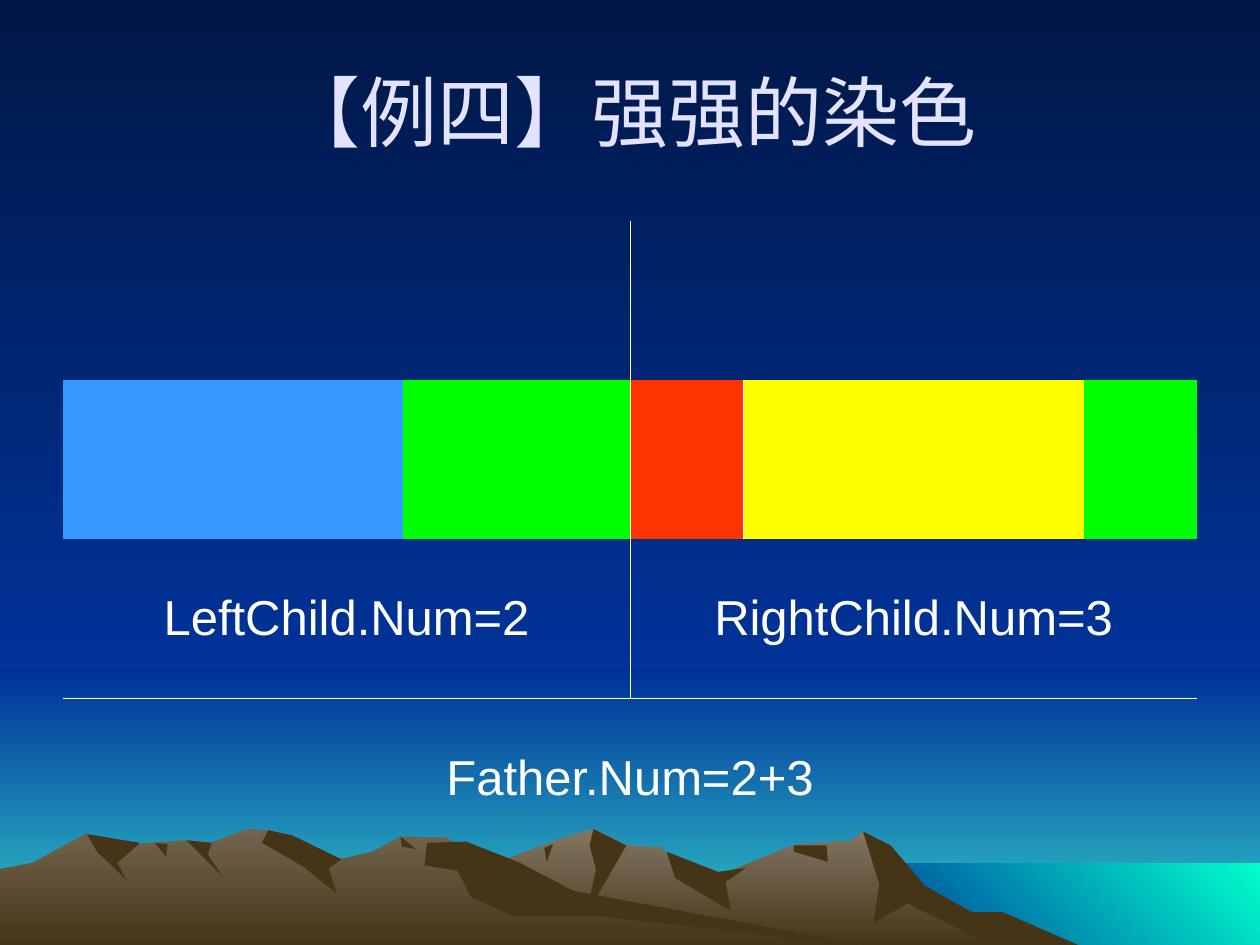
import lxml.etree
import pptx
import pptx.dml.color
import pptx.enum.shapes
import pptx.enum.text
import pptx.oxml.ns
import pptx.util

Inches = pptx.util.Inches

TITLE = "【例四】强强的染色"
CHILD_COUNTS = ["LeftChild.Num=2", "RightChild.Num=3"]
FATHER_COUNT = "Father.Num=2+3"
SEGMENTS = [("blue", 3), ("green", 2), ("red", 1), ("yellow", 3), ("green", 1)]

THEME = {
    "font": "Arial", "title_size": 44, "label_size": 28, "rule_width": 0.45,
    "title": "E3E3FF", "label": "FFFFFF", "rule": "FFFFFF",
    "blue": "3399FF", "green": "00FF00", "red": "FF3300", "yellow": "FFFF00",
    "sky": ("001746", "003399", 90), "horizon": ("003399", "33CCCC", 90),
    "sea": ("00FFCC", "003399", 135), "far": ("837763", "463416", 90),
    "near": ("72644E", "463416", 90), "shade": "463416",
}

BACKDROP = [
    ("horizon", (0, 5.33, 10, 2.17)),
    ("sky", (0, 0, 10, 5.33)),
    ("sea", (6.83, 6.85, 3.17, 0.67)),
]

MOUNTAINS = [
    ("far", [
        (2.58, 7.51), (3.94, 6.85), (4.5, 6.64), (4.71, 6.58), (4.97, 6.71),
        (5.26, 6.73), (5.36, 6.9), (5.66, 6.97), (6.29, 6.71), (6.76, 6.67),
        (6.85, 6.6), (7.23, 6.98), (8.21, 7.51)]),
    ("shade", [
        (6.85, 6.6), (7.07, 6.71), (7.34, 7.03), (7.71, 7.24), (7.96, 7.24),
        (8.58, 7.51), (7.92, 7.52), (7.2, 7.17), (6.93, 7.33), (6.98, 7.02)]),
    ("shade", [(4.71, 6.58), (4.97, 6.71), (4.65, 7.27), (4.73, 6.9), (4.68, 6.71)]),
    ("shade", [(5.29, 6.76), (5.7, 6.92), (5.92, 6.89), (5.76, 7), (5.8, 7.23), (5.36, 6.97)]),
    ("shade", [(6.3, 6.71), (6.56, 6.71), (6.57, 6.84), (6.3, 6.76)]),
    ("shade", [(4.32, 6.73), (4.39, 6.7), (4.34, 6.84)]),
    ("near", [
        (0, 7.51), (0, 6.9), (0.26, 6.85), (0.68, 6.62), (0.94, 6.71),
        (1.48, 6.67), (1.68, 6.69), (1.96, 6.58), (2.15, 6.59), (2.71, 6.82),
        (2.96, 6.76), (3.18, 6.64), (3.54, 6.65), (4.32, 7.12), (6.9, 7.51)]),
    ("shade", [
        (2.13, 6.59), (2.32, 6.63), (2.71, 6.82), (2.61, 6.89), (2.67, 7.09),
        (2.41, 6.88), (2.08, 6.69)]),
    ("shade", [
        (3.39, 6.69), (3.7, 6.68), (4.11, 6.84), (4.55, 7.07), (6.9, 7.51),
        (4.72, 7.27), (4.07, 7.27), (3.74, 7.12), (3.63, 6.91), (3.37, 6.87)]),
    ("shade", [(3.18, 6.64), (3.3, 6.74), (3.19, 6.72)]),
    ("shade", [(1.48, 6.67), (1.68, 6.69), (1.65, 6.78), (1.76, 6.95)]),
    ("shade", [(1.23, 6.69), (1.33, 6.7), (1.32, 6.8)]),
    ("shade", [(0.69, 6.62), (1.11, 6.69), (0.93, 6.85), (1, 6.98), (0.77, 6.76)]),
]


def rgb(name):
    return pptx.dml.color.RGBColor.from_string(THEME[name])


def paint(fill, name):
    if isinstance(THEME[name], str):
        fill.solid()
        fill.fore_color.rgb = rgb(name)
        return
    *stops, angle = THEME[name]
    fill.gradient()
    fill.gradient_angle = 360 - angle
    for stop, color in zip(fill.gradient_stops, stops):
        stop.color.rgb = pptx.dml.color.RGBColor.from_string(color)


def finish(scenery, name):
    paint(scenery.fill, name)
    scenery.line.fill.background()
    scenery.shadow.inherit = False


def write_text(frame, text, *, size, color, space_before=0):
    paragraph = frame.paragraphs[0]
    paragraph.alignment = pptx.enum.text.PP_ALIGN.CENTER
    paragraph.space_before = pptx.util.Pt(space_before)
    run = paragraph.add_run()
    run.text = text
    run.font.name = THEME["font"]
    run.font.size = pptx.util.Pt(THEME[size])
    run.font.color.rgb = rgb(color)


def draw_borders(cell, sides):
    qn = pptx.oxml.ns.qn
    properties = cell._tc.get_or_add_tcPr()
    for side in sides:
        width = str(int(pptx.util.Pt(THEME["rule_width"])))
        rule = lxml.etree.SubElement(properties, qn(f"a:ln{side}"), w=width)
        solid = lxml.etree.SubElement(rule, qn("a:solidFill"))
        lxml.etree.SubElement(solid, qn("a:srgbClr"), val=THEME["rule"])


def build_scenery(slide):
    paint(slide.background.fill, "sky")
    for name, box in BACKDROP:
        rectangle = pptx.enum.shapes.MSO_SHAPE.RECTANGLE
        finish(slide.shapes.add_shape(rectangle, *map(Inches, box)), name)
    for name, points in MOUNTAINS:
        start, *corners = [tuple(map(Inches, point)) for point in points]
        outline = slide.shapes.build_freeform(*start)
        outline.add_line_segments(corners, close=True)
        finish(outline.convert_to_shape(), name)


def build_tree(slide):
    colors = [color for color, count in SEGMENTS for _ in range(count)]
    columns, half, rows = len(colors), len(colors) // 2, 4
    frame = slide.shapes.add_table(rows, columns, *map(Inches, (0.5, 1.75, 9, 5.06)))
    style = next(frame._element.iter(pptx.oxml.ns.qn("a:tableStyleId")))
    style.text = "{2D5ABB26-0587-4C30-8999-92F81FD0307C}"
    tree = frame.table
    tree.first_row = tree.horz_banding = False

    for row in range(rows):
        for column in range(columns):
            sides = ""
            if row < 3:
                sides += "L" if column == half else ""
                merged_left = row != 1 and column == 0
                sides += "R" if column == half - 1 or merged_left else ""
            sides += {2: "B", 3: "T"}.get(row, "")
            cell = tree.cell(row, column)
            draw_borders(cell, sides)
            if row == 1:
                paint(cell.fill, colors[column])
            else:
                cell.fill.background()

    for row in (0, 2):
        for start in (0, half):
            tree.cell(row, start).merge(tree.cell(row, start + half - 1))
    tree.cell(3, 0).merge(tree.cell(3, columns - 1))

    labels = [(2, 0, CHILD_COUNTS[0]), (2, half, CHILD_COUNTS[1]), (3, 0, FATHER_COUNT)]
    for row, column, label in labels:
        cell = tree.cell(row, column)
        cell.vertical_anchor = pptx.enum.text.MSO_ANCHOR.MIDDLE
        write_text(cell.text_frame, label, size="label_size", color="label", space_before=7)


def main():
    """Build the colouring example: a segment tree table over a mountain view."""
    deck = pptx.Presentation()
    deck.slide_width, deck.slide_height = Inches(10), Inches(7.5)
    slide = deck.slides.add_slide(deck.slide_layouts[6])
    build_scenery(slide)
    heading = slide.shapes.add_textbox(*map(Inches, (0.5, 0.25, 9, 1.25))).text_frame
    heading.word_wrap = True
    heading.vertical_anchor = pptx.enum.text.MSO_ANCHOR.MIDDLE
    write_text(heading, TITLE, size="title_size", color="title")
    build_tree(slide)
    deck.save("out.pptx")


if __name__ == "__main__":
    main()
